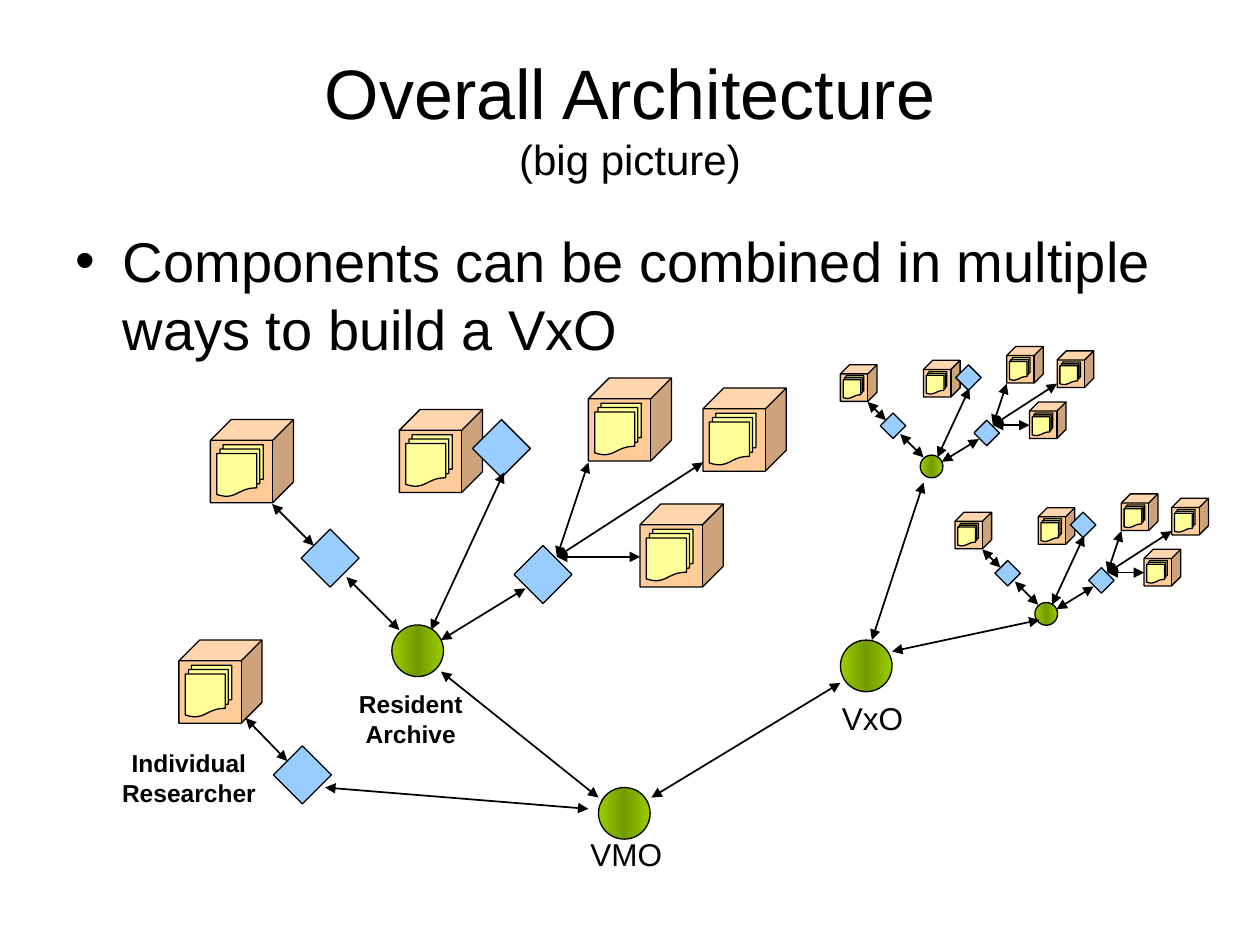
from copy import deepcopy

from pptx import Presentation
from pptx.dml.color import RGBColor
from pptx.enum import shapes, text
from pptx.oxml.ns import qn
from pptx.util import Inches, Pt
from lxml import etree

BLACK = RGBColor(0x00, 0x00, 0x00)
PEACH = RGBColor(0xFF, 0xCC, 0x99)
YELLOW = RGBColor(0xFF, 0xFF, 0x99)
BLUE = RGBColor(0x99, 0xCC, 0xFF)
GREEN = RGBColor(0x99, 0xCC, 0x00)
DARK_GREEN = RGBColor(0x74, 0x9B, 0x00)
FONT = "Arial"
KIND = shapes.MSO_SHAPE

TITLE = ("Overall Architecture", "(big picture)")
BULLET = "Components can be combined in multiple ways to build a VxO"

# Sizes at full scale
STORE, DIAMOND, NODE = 0.66, 0.46, 0.41
DOCS = (0.05, 0.2, 0.37, 0.41)  # offset in a store, then size

# One archive cluster, measured from its own top left corner
CLUSTER_STORES = [(0, 0.33), (1.5, 0.25), (3.41, 1), (3, 0), (3.91, 0.08)]
CLUSTER_DIAMONDS = [(0.72, 1.2), (2.08, 0.33), (2.41, 1.33)]
CLUSTER_NODE = (1.44, 1.96)
CLUSTER_LINKS = [
    ((0.49, 1), (0.82, 1.33)),
    ((1.08, 1.58), (1.5, 2)),
    ((2.33, 0.75), (1.75, 2)),
    ((1.83, 2.08), (2.5, 1.67)),
    ((2.75, 1.42), (3, 0.67)),
    ((2.75, 1.42), (3.91, 0.67)),
    ((2.75, 1.42), (3.41, 1.42)),
]
# left, top, scale
CLUSTERS = [(1.67, 3, 1), (7.58, 3.92, 0.44), (6.67, 2.75, 0.44)]

RESEARCHER_STORE = (1.42, 5.08)
RESEARCHER_DIAMOND = (2.17, 5.92)
HUBS = [(4.75, 6.25), (6.67, 5.08)]
HUB_LINKS = [
    ((3.5, 5.33), (4.75, 6.33)),
    ((6.67, 5.42), (5.17, 6.33)),
    ((7.33, 3.83), (6.92, 5.08)),
    ((7.08, 5.17), (8.25, 4.92)),
    ((4.67, 6.42), (2.58, 6.25)),
    ((2.28, 6.04), (1.95, 5.7)),
]
# lines, box, size, bold
LABELS = [
    (["VMO"], (4.57, 6.58, 0.8, 0.4), 18, False),
    (["VxO"], (6.55, 5.5, 0.75, 0.4), 18, False),
    (["Resident", "Archive"], (2.75, 5.42, 1.02, 0.57), 14, True),
    (["Individual", "Researcher"], (0.87, 5.89, 1.26, 0.57), 14, True),
]


def add_part(parent, kind, x, y, w, h, color):
    s = parent.add_shape(kind, Inches(x), Inches(y), Inches(w), Inches(h))
    s.shadow.inherit = False
    s.fill.solid()
    s.fill.fore_color.rgb = color
    s.line.color.rgb = BLACK
    s.line.width = Pt(0.75)
    return s


def add_store(parent, x, y, scale=1):
    """A data store: a cube with a stack of documents on its front."""
    add_part(parent, KIND.CUBE, x, y, STORE * scale, STORE * scale, PEACH)
    dx, dy, w, h = (v * scale for v in DOCS)
    add_part(parent, KIND.FLOWCHART_MULTIDOCUMENT, x + dx, y + dy, w, h, YELLOW)


def add_diamond(parent, x, y, scale=1):
    add_part(parent, KIND.DIAMOND, x, y, DIAMOND * scale, DIAMOND * scale, BLUE)


def add_node(parent, x, y, scale=1):
    """A green circle, darker along its vertical middle."""
    s = add_part(parent, KIND.OVAL, x, y, NODE * scale, NODE * scale, GREEN)
    s.fill.gradient()
    s.fill.gradient_angle = 0
    first, last = s.fill.gradient_stops
    first.color.rgb = last.color.rgb = GREEN
    stops = s._element.spPr.find(".//" + qn("a:gsLst"))
    stops.insert(1, deepcopy(stops[0]))
    middle = s.fill.gradient_stops[1]
    middle.position = 0.5
    middle.color.rgb = DARK_GREEN


def add_link(parent, start, end):
    c = parent.add_connector(shapes.MSO_CONNECTOR.STRAIGHT,
                             *(Inches(v) for v in (*start, *end)))
    c.line.color.rgb = BLACK
    c.line.width = Pt(1)
    ln = c.line._get_or_add_ln()
    for tag in ("a:headEnd", "a:tailEnd"):
        etree.SubElement(ln, qn(tag), type="triangle")
    etree.SubElement(c._element.spPr, qn("a:effectLst"))


def add_cluster(parent, left, top, scale):
    group = parent.add_group_shape().shapes

    def place(point):
        return left + point[0] * scale, top + point[1] * scale

    for point in CLUSTER_STORES:
        add_store(group, *place(point), scale)
    for point in CLUSTER_DIAMONDS:
        add_diamond(group, *place(point), scale)
    add_node(group, *place(CLUSTER_NODE), scale)
    for start, end in CLUSTER_LINKS:
        add_link(group, place(start), place(end))


def style(font, size, bold=False):
    font.name, font.size, font.bold = FONT, Pt(size), bold
    font.color.rgb = BLACK


def place_box(s, x, y, w, h):
    s.left, s.top, s.width, s.height = (Inches(v) for v in (x, y, w, h))
    s.text_frame.auto_size = text.MSO_AUTO_SIZE.NONE


def add_label(parent, lines, box, size, bold):
    tf = parent.add_textbox(*(Inches(v) for v in box)).text_frame
    tf.word_wrap = False
    tf.auto_size = text.MSO_AUTO_SIZE.SHAPE_TO_FIT_TEXT
    tf.text = "\n".join(lines)
    for p in tf.paragraphs:
        p.alignment = text.PP_ALIGN.CENTER
        for r in p.runs:
            style(r.font, size, bold)


def main():
    prs = Presentation()
    prs.slide_width, prs.slide_height = Inches(10), Inches(7.5)
    slide = prs.slides.add_slide(prs.slide_layouts[1])
    title, body = slide.placeholders

    place_box(title, 0.5, 0.3, 9, 1.25)
    title.text_frame.text = "\v".join(TITLE)
    for r, size in zip(title.text_frame.paragraphs[0].runs, (40, 24)):
        style(r.font, size)

    place_box(body, 0.5, 1.75, 9, 4.95)
    body.text_frame.text = BULLET
    p = body.text_frame.paragraphs[0]
    p.space_before = Pt(0)
    style(p.runs[0].font, 32)

    canvas = slide.shapes
    for cluster in CLUSTERS:
        add_cluster(canvas, *cluster)
    add_store(canvas.add_group_shape().shapes, *RESEARCHER_STORE)
    add_diamond(canvas, *RESEARCHER_DIAMOND)
    for hub in HUBS:
        add_node(canvas, *hub)
    for link in HUB_LINKS:
        add_link(canvas, *link)
    for label in LABELS:
        add_label(canvas, *label)

    prs.save("out.pptx")


if __name__ == "__main__":
    main()
